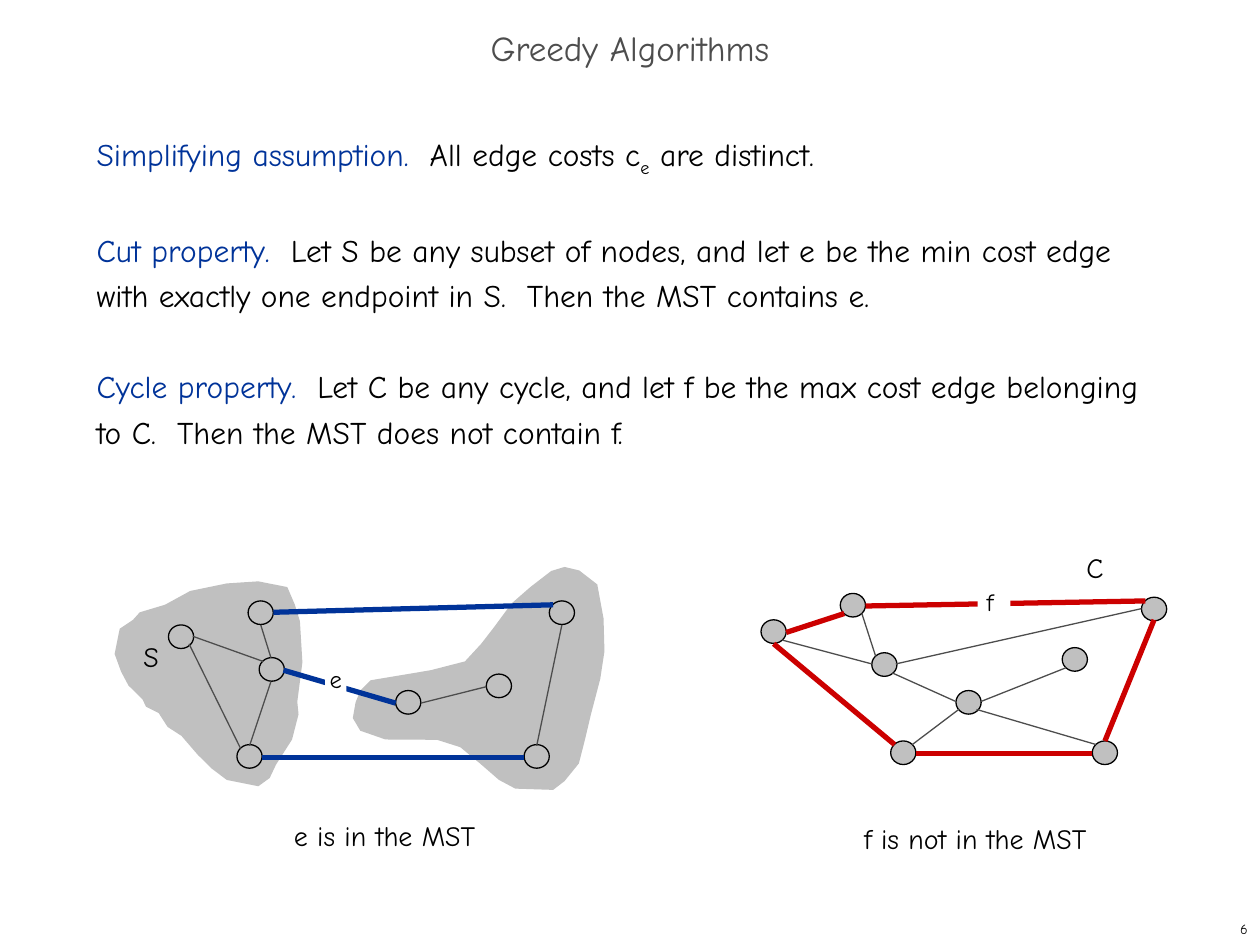
from lxml import etree
from pptx import Presentation
from pptx import util as u
from pptx.dml import color
from pptx.enum import shapes, text
from pptx.oxml import ns

Pt = u.Pt
FONT = "Comic Neue"
BLACK, GREY, SILVER, WHITE = "000000", "4D4D4D", "C0C0C0", "FFFFFF"
BLUE, RED = "003399", "CC0000"
NODE_SIZE = 14.4, 13.5

# Top left corners of the nodes
CUT_NODES = [(96.3, 357.1), (313.9, 343.4), (299.5, 425.5), (141.8, 343.4),
             (148.1, 375.8), (135.4, 425.5), (277.9, 385.2), (226.1, 394.6)]
CYCLE_NODES = [(434.9, 354.2), (652.3, 341.3), (624.2, 423.4), (480.2, 339.1),
               (498.2, 373), (509, 423.4), (607, 370.1), (546.3, 394.6)]

# Edges: x and y of the start, then of the end
CUT_EDGES = [(299.5, 432.7, 149.8, 432.7), (156.2, 349.9, 316.1, 345.6),
             (162, 383, 226.1, 401.8)]
CUT_INNER = [(110.2, 363.6, 150.5, 378), (108, 367.9, 137.5, 427.7),
             (149, 357.1, 154.8, 375.8), (154.8, 389.5, 142.6, 426.2),
             (321.1, 357.1, 306.7, 426.2), (277.9, 392.4, 240.5, 401.8)]
CYCLE_EDGES = [(449.3, 361.4, 482.4, 350.6), (511.2, 425.5, 442.1, 367.9),
               (659.5, 354.2, 631.4, 423.4), (624.2, 430.6, 523.4, 430.6),
               (494.6, 346.3, 654.5, 343.4)]
CYCLE_INNER = [(492.5, 350.6, 500.4, 375.1), (652.3, 347.8, 511.9, 379.4),
               (546.5, 401, 509.8, 384.5), (547.9, 405.4, 521.3, 425.5),
               (626.4, 425.5, 558, 405.4), (609.1, 381.6, 560.2, 401),
               (498.2, 379.4, 447.1, 365.8)]

# Outlines of the two sides of the cut
REST_RIM = [(322.6, 324), (331, 326), (341.3, 334), (344.9, 353.5), (345.4, 372.2),
            (343, 388), (337.7, 408.2), (334.1, 423.4), (330.8, 436.3),
            (322.6, 446.4), (316.1, 451.4), (294.5, 450.7), (285.1, 445.7),
            (274.3, 436.3), (263, 427), (249.8, 422.8), (220.3, 422.6),
            (205.9, 417.6), (201.6, 410.4), (203.2, 401.4), (205.9, 394.6),
            (211.7, 388.8), (229, 385.9), (246.2, 383), (265.7, 378), (275, 367.9),
            (282.2, 358.6), (292.3, 344.9), (303.1, 335.5), (315, 326.3)]
S_RIM = [(79.9, 349.9), (94.3, 345.6), (108.7, 337.7), (129.6, 333.4),
         (147.6, 332.2), (164.2, 335.5), (168.5, 345.6), (171.4, 355),
         (172.8, 378.5), (169.9, 401), (170.6, 408.2), (166.9, 422.6),
         (157.7, 437), (154.1, 444.6), (147.6, 449.3), (129.6, 445.7),
         (121, 439.2), (113, 431.3), (103.7, 420.5), (95.8, 415.4),
         (90.7, 407.5), (83.5, 403.9), (81.4, 399.6), (73.4, 391.7),
         (69.2, 383.8), (65.5, 373.7), (68.4, 359.3), (76, 354.2)]

PROPERTIES = [
    [("Simplifying assumption.  ", BLUE), ("All edge costs c", BLACK),
     ("e", BLACK, -25000), (" are distinct.", BLACK)],
    [("Cut property.  ", BLUE),
     ("Let S be any subset of nodes, and let e be the min cost edge with "
      "exactly one endpoint in S.  Then the MST contains e.", BLACK)],
    [("Cycle property.  ", BLUE),
     ("Let C be any cycle, and let f be the max cost edge belonging to C.  "
      "Then the MST does not contain f.", BLACK)],
]


def rgb(value):
    return color.RGBColor.from_string(value)


def apply(target, **formats):
    for name, value in formats.items():
        setattr(target, name, value)


def place(part, left, top, width, height):
    apply(part, left=Pt(left), top=Pt(top), width=Pt(width), height=Pt(height))


def write(paragraph, words, size, shade, baseline=None):
    run = paragraph.add_run()
    run.text = words
    apply(run.font, name=FONT, size=Pt(size))
    run.font.color.rgb = rgb(shade)
    if baseline:
        run.font._element.set("baseline", str(baseline))


def paint(shape, fill, outline=None):
    shape.shadow.inherit = False
    shape.fill.solid()
    shape.fill.fore_color.rgb = rgb(fill)
    if outline:
        shape.line.color.rgb = rgb(outline)
        shape.line.width = Pt(0.75)
    else:
        shape.line.fill.background()


def add_title(slide):
    title = slide.shapes.title
    place(title, 0, 12, 720, 36)
    apply(title.text_frame, vertical_anchor=text.MSO_ANCHOR.MIDDLE,
          auto_size=text.MSO_AUTO_SIZE.NONE)
    heading = title.text_frame.paragraphs[0]
    apply(heading, alignment=text.PP_ALIGN.CENTER, line_spacing=0.7)
    write(heading, "Greedy Algorithms", 20, GREY)


def add_properties(slide):
    body = slide.placeholders[1]
    place(body, 48, 72, 618, 426)
    frame = body.text_frame
    frame.auto_size = text.MSO_AUTO_SIZE.NONE
    for index, runs in enumerate(PROPERTIES):
        statement = frame.add_paragraph() if index else frame.paragraphs[0]
        layout = statement._p.get_or_add_pPr()
        apply(statement, line_spacing=Pt(26), space_before=Pt(26 if index else 0))
        layout.set("marL", "0")
        layout.set("indent", "0")
        etree.SubElement(layout, ns.qn("a:buNone"))
        for words, shade, *baseline in runs:
            write(statement, words, 18, shade, *baseline)


def add_region(slide, rim):
    start, *rest = [tuple(map(Pt, point)) for point in rim]
    builder = slide.shapes.build_freeform(*start, scale=1.0)
    builder.add_line_segments(rest, close=True)
    paint(builder.convert_to_shape(), SILVER)


def add_nodes(slide, corners):
    for corner in corners:
        node = slide.shapes.add_shape(shapes.MSO_SHAPE.OVAL,
                                      *map(Pt, corner + NODE_SIZE))
        paint(node, SILVER, BLACK)


def add_edges(slide, edges, shade, weight):
    for ends in edges:
        edge = slide.shapes.add_connector(shapes.MSO_CONNECTOR.STRAIGHT,
                                          *map(Pt, ends))
        edge.line.color.rgb = rgb(shade)
        edge.line.width = Pt(weight)
        etree.SubElement(edge._element.spPr, ns.qn("a:effectLst"))


def add_edge_label(slide, words, *box):
    label = slide.shapes.add_shape(shapes.MSO_SHAPE.RECTANGLE, *map(Pt, box))
    paint(label, WHITE)
    apply(label.text_frame, margin_left=0, margin_right=0, margin_top=0,
          margin_bottom=0, vertical_anchor=text.MSO_ANCHOR.TOP, word_wrap=True)
    paragraph = label.text_frame.paragraphs[0]
    paragraph.alignment = text.PP_ALIGN.CENTER
    write(paragraph, words, 14, BLACK)


def add_caption(slide, words, *box, size=16, alignment=text.PP_ALIGN.LEFT,
                anchor=text.MSO_ANCHOR.TOP, wrap=False):
    caption = slide.shapes.add_textbox(*map(Pt, box))
    apply(caption.text_frame, word_wrap=wrap, vertical_anchor=anchor)
    paragraph = caption.text_frame.paragraphs[0]
    paragraph.alignment = alignment
    write(paragraph, words, size, BLACK)


def main():
    deck = Presentation()
    apply(deck, slide_width=Pt(720), slide_height=Pt(540))
    slide = deck.slides.add_slide(deck.slide_layouts[1])
    add_title(slide)
    add_properties(slide)

    # Cycle property graph
    add_nodes(slide, CYCLE_NODES)
    add_edges(slide, CYCLE_EDGES, RED, 3)
    add_edges(slide, CYCLE_INNER, GREY, 0.75)
    add_edge_label(slide, "f ", 558.7, 335.5, 18.7, 16.6)
    add_caption(slide, "C", 613.8, 311, 24.5, 26.6)
    add_caption(slide, "f is not in the MST", 486.7, 465.8, 141.8, 26.6)

    # Cut property graph
    for rim in (REST_RIM, S_RIM):
        add_region(slide, rim)
    add_nodes(slide, CUT_NODES)
    add_edges(slide, CUT_EDGES, BLUE, 3)
    add_edges(slide, CUT_INNER, GREY, 0.75)
    add_edge_label(slide, "e", 185.8, 379.4, 12.2, 16.6)
    add_caption(slide, "S", 74.9, 362.2, 23, 26.6)
    add_caption(slide, "e is in the MST", 160.9, 464.4, 118.1, 26.6)

    # Slide number
    add_caption(slide, "6", 570.2, 522, 149.8, 18, size=8, wrap=True,
                alignment=text.PP_ALIGN.RIGHT, anchor=text.MSO_ANCHOR.MIDDLE)
    deck.save("out.pptx")


if __name__ == "__main__":
    main()
